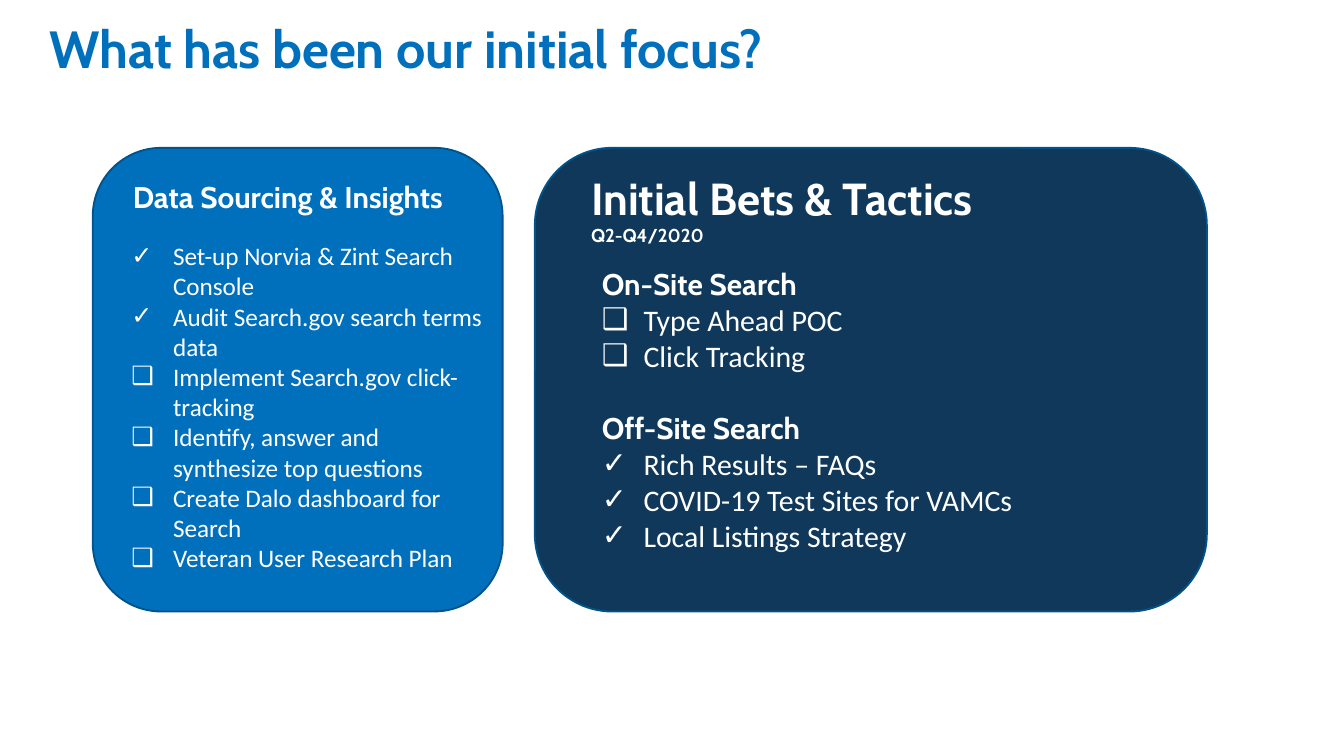
from lxml import etree
from pptx import Presentation
from pptx import util as u
from pptx.dml import color
from pptx.enum import shapes, text
from pptx.oxml import ns

HEADING, BODY = "Cabin", "Calibri"
WHITE, BLUE, NAVY, EDGE = "FFFFFF", "0070BC", "10385A", "00538B"
DONE, OPEN = "✓", "❑"
INDENT = u.Inches(0.31)


def rgb(value):
    return color.RGBColor.from_string(value)


def write(para, words, size=16, font=HEADING, ink=WHITE, bold=True, bullet=None, before=0):
    if before:
        para.space_before = u.Pt(before)
    if bullet:
        props = para._p.get_or_add_pPr()
        props.set("marL", str(INDENT))
        props.set("indent", str(-INDENT))
        etree.SubElement(props, ns.qn("a:buFont")).set("typeface", font)
        etree.SubElement(props, ns.qn("a:buChar")).set("char", bullet)
    span = para.add_run()
    span.text = words
    span.font.size = u.Pt(size)
    span.font.name = font
    span.font.bold = bold
    span.font.color.rgb = rgb(ink)


def item(words, bullet, size=16):
    return words, dict(size=size, font=BODY, bold=False, bullet=bullet)


class FocusSlide:
    def __init__(self, deck):
        self.page = deck.slides.add_slide(deck.slide_layouts[6])

    def panel(self, left, width, fill):
        box = self.page.shapes.add_shape(
            shapes.MSO_SHAPE.ROUNDED_RECTANGLE,
            u.Inches(left), u.Inches(1.1), u.Inches(width), u.Inches(3.45))
        box.shadow.inherit = False
        box.fill.solid()
        box.fill.fore_color.rgb = rgb(fill)
        box.line.color.rgb = rgb(EDGE)
        box.line.width = u.Pt(1)

    def words(self, left, top, width, height, lines):
        box = self.page.shapes.add_textbox(
            u.Inches(left), u.Inches(top), u.Inches(width), u.Inches(height))
        frame = box.text_frame
        frame.word_wrap = True
        frame.vertical_anchor = text.MSO_ANCHOR.TOP
        for number, (line, style) in enumerate(lines):
            para = frame.add_paragraph() if number else frame.paragraphs[0]
            write(para, line, **style)
        return frame


def main():
    deck = Presentation()
    deck.slide_width = u.Inches(10)
    deck.slide_height = deck.slide_width * 9 // 16
    slide = FocusSlide(deck)
    slide.words(0.27, 0.07, 9.17, 0.69,
                [("What has been our initial focus?", dict(size=28, ink=BLUE))])

    slide.panel(0.69, 3.05, BLUE)
    slide.words(0.89, 1.28, 3, 0.37, [("Data Sourcing & Insights", {})])
    sourcing = [
        ("Set-up Norvia & Zint Search Console", DONE),
        ("Audit Search.gov search terms data", DONE),
        ("Implement Search.gov click-tracking", OPEN),
        ("Identify, answer and synthesize top questions", OPEN),
        ("Create Dalo dashboard for Search", OPEN),
        ("Veteran User Research Plan", OPEN),
    ]
    slide.words(0.88, 1.74, 2.81, 2.6,
                [item(line, mark, 13.5) for line, mark in sourcing])

    slide.panel(3.98, 5, NAVY)
    tactics = slide.words(4.3, 1.22, 4.56, 0.67,
                          [("Initial Bets & Tactics ", dict(size=24))])
    heading = tactics.paragraphs[0]
    heading.add_line_break()
    write(heading, "Q2-Q4/2020", size=10)
    slide.words(4.38, 1.93, 4.48, 2.26, [
        ("On-Site Search", {}),
        item("Type Ahead POC", OPEN),
        item("Click Tracking", OPEN),
        ("Off-Site Search", dict(before=19.5)),
        item("Rich Results – FAQs", DONE),
        item("COVID-19 Test Sites for VAMCs", DONE),
        item("Local Listings Strategy", DONE),
    ])
    deck.save("out.pptx")


if __name__ == "__main__":
    main()
